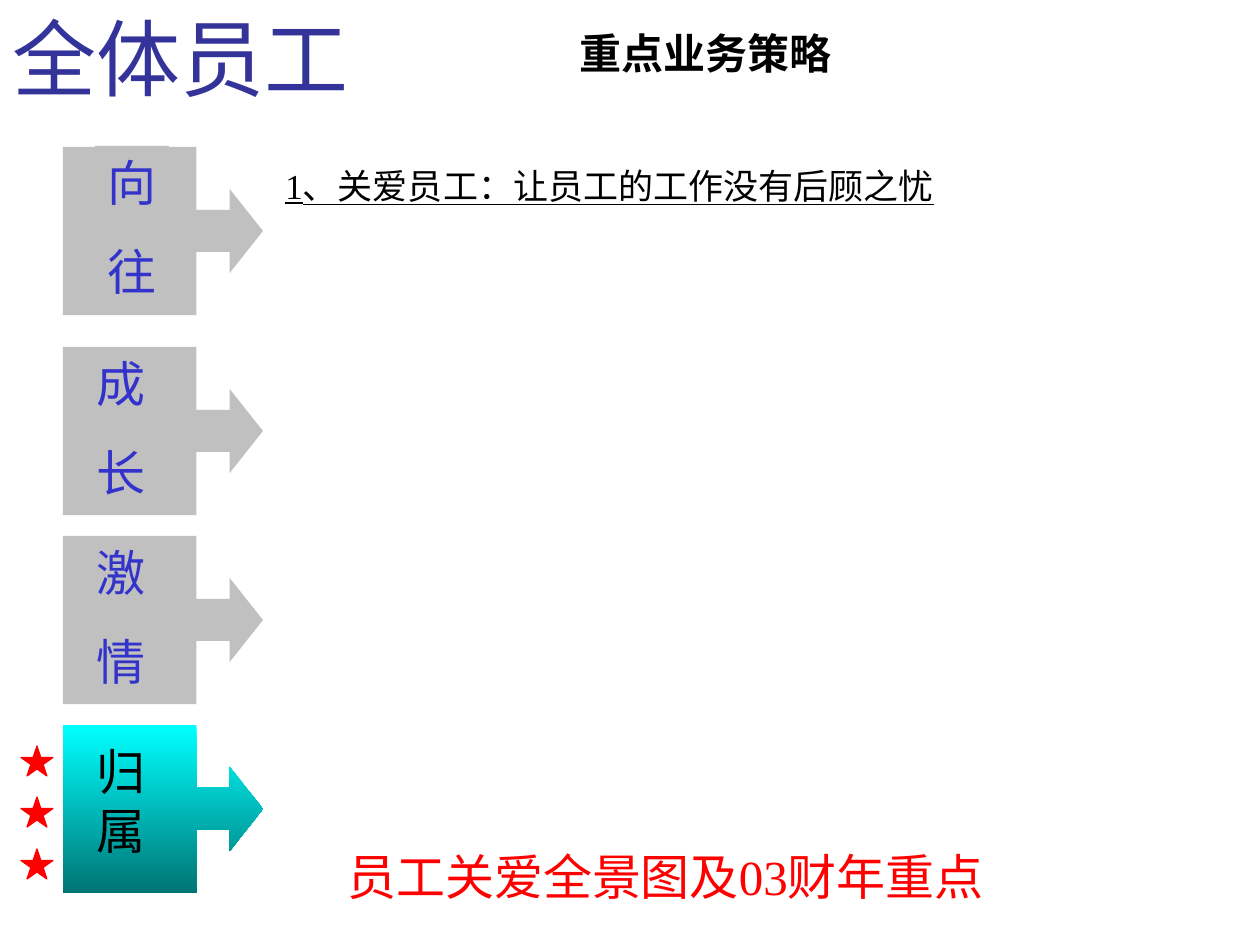
"""Build the employee care strategy slide."""
from dataclasses import dataclass

from pptx import Presentation
from pptx.dml.color import RGBColor
from pptx.enum.shapes import MSO_SHAPE
from pptx.enum.text import MSO_ANCHOR, MSO_AUTO_SIZE, PP_ALIGN
from pptx.util import Emu, Pt

CALLOUT = MSO_SHAPE.RIGHT_ARROW_CALLOUT
STAR = MSO_SHAPE.STAR_5_POINT
RECTANGLE = MSO_SHAPE.RECTANGLE
TOP, MIDDLE = MSO_ANCHOR.TOP, MSO_ANCHOR.MIDDLE
NO_FIT = MSO_AUTO_SIZE.NONE
LEFT = PP_ALIGN.LEFT

NAVY = RGBColor(0x33, 0x33, 0x99)
BLUE = RGBColor(0x33, 0x33, 0xCC)
BLACK = RGBColor(0, 0, 0)
RED = RGBColor(0xFF, 0, 0)
GRAY = RGBColor(0xC0, 0xC0, 0xC0)
CYAN = RGBColor(0, 0xFF, 0xFF)
TEAL = RGBColor(0, 0x75, 0x75)

PIXELS_PER_INCH = 126
SERIF = "Times New Roman"
CALLOUT_ADJUSTMENTS = (0.25, 0.25, 0.198, 0.667)
STAR_TOPS = (746, 797, 849)


@dataclass(frozen=True)
class Box:
    left: int
    top: int
    width: int
    height: int

    def emu(self) -> list[Emu]:
        sides = (self.left, self.top, self.width, self.height)
        return [Emu(round(side * 914400 / PIXELS_PER_INCH)) for side in sides]


@dataclass(frozen=True)
class Stage:
    top: int
    lines: tuple[str, ...]
    label: Box
    color: RGBColor = BLUE
    active: bool = False
    backed: bool = False


@dataclass(frozen=True)
class Caption:
    text: str
    box: Box
    size: int
    color: RGBColor = BLACK
    bold: bool = False
    underline: bool = False
    wrap: bool = True
    anchor: MSO_ANCHOR = TOP


STAGES = (
    Stage(147, ("向", "往"), Box(95, 146, 74, 161), backed=True),
    Stage(347, ("成", "长"), Box(84, 347, 95, 161)),
    Stage(536, ("激", "情"), Box(84, 536, 95, 161)),
    Stage(725, ("归属",), Box(84, 735, 95, 131), color=BLACK, active=True),
)

CAPTIONS = (
    Caption("1、关爱员工：让员工的工作没有后顾之忧", Box(273, 158, 872, 55), 20, underline=True),
    Caption("重点业务策略", Box(567, 0, 851, 105), 24, bold=True, anchor=MIDDLE),
    Caption("员工关爱全景图及03财年重点", Box(335, 840, 684, 72), 28, color=RED, wrap=False),
)


def write_text(shape, lines: tuple[str, ...], font_values: dict, wrap=True, anchor=TOP) -> None:
    """Fill a shape with left-aligned paragraphs in one font format."""
    frame = shape.text_frame
    frame_values = {"word_wrap": wrap, "vertical_anchor": anchor, "auto_size": NO_FIT}
    for name, value in frame_values.items():
        setattr(frame, name, value)
    color = font_values["color"]
    for index, line in enumerate(lines):
        paragraph = frame.add_paragraph() if index else frame.paragraphs[0]
        paragraph.text = line
        paragraph.alignment = LEFT
        if index:
            paragraph.space_before = Pt(17.5)
        for name, value in font_values.items():
            if name != "color":
                setattr(paragraph.font, name, value)
        paragraph.font.color.rgb = color


def add_figure(slide, kind: MSO_SHAPE, box: Box, color: RGBColor):
    """Add a flat filled shape without an outline."""
    shape = slide.shapes.add_shape(kind, *box.emu())
    shape.shadow.inherit = False
    shape.fill.solid()
    shape.fill.fore_color.rgb = color
    shape.line.fill.background()
    return shape


def add_stage(slide, stage: Stage) -> None:
    """Add one arrow callout."""
    callout = add_figure(slide, CALLOUT, Box(63, stage.top, 200, 168), GRAY)
    for index, value in enumerate(CALLOUT_ADJUSTMENTS):
        callout.adjustments[index] = value
    if stage.active:
        callout.fill.gradient()
        callout.fill.gradient_angle = 270
        for stop, color in zip(callout.fill.gradient_stops, (CYAN, TEAL)):
            stop.color.rgb = color


def add_stage_label(slide, stage: Stage) -> None:
    """Add the name of a stage over its callout."""
    if stage.backed:
        label = add_figure(slide, RECTANGLE, stage.label, GRAY)
    else:
        label = slide.shapes.add_textbox(*stage.label.emu())
    values = {"name": SERIF, "size": Pt(28), "color": stage.color}
    anchor = MIDDLE if stage.backed else TOP
    write_text(label, stage.lines, values, wrap=not stage.backed, anchor=anchor)


def add_star(slide, top: int) -> None:
    """Add one red rating star."""
    star = add_figure(slide, STAR, Box(21, top, 32, 30), RED)
    star.line.color.rgb = RED
    star.line.width = Pt(0.75)


def add_caption(slide, caption: Caption) -> None:
    """Add one single-line text box."""
    values = {
        "name": SERIF,
        "size": Pt(caption.size),
        "color": caption.color,
        "bold": caption.bold,
        "underline": caption.underline,
    }
    textbox = slide.shapes.add_textbox(*caption.box.emu())
    write_text(textbox, (caption.text,), values, caption.wrap, caption.anchor)


def main() -> None:
    """Assemble and save the presentation."""
    presentation = Presentation()
    _, _, presentation.slide_width, presentation.slide_height = Box(0, 0, 1260, 945).emu()
    slide = presentation.slides.add_slide(presentation.slide_layouts[5])

    title = slide.shapes.title
    title.left, title.top, title.width, title.height = Box(0, 0, 1222, 77).emu()
    write_text(title, ("全体员工",), {"name": "Lato", "size": Pt(48), "color": NAVY})

    for stage in STAGES:
        add_stage(slide, stage)
    for stage in STAGES:
        add_stage_label(slide, stage)
    for top in STAR_TOPS:
        add_star(slide, top)
    for caption in CAPTIONS:
        add_caption(slide, caption)
    presentation.save("out.pptx")


if __name__ == "__main__":
    main()
